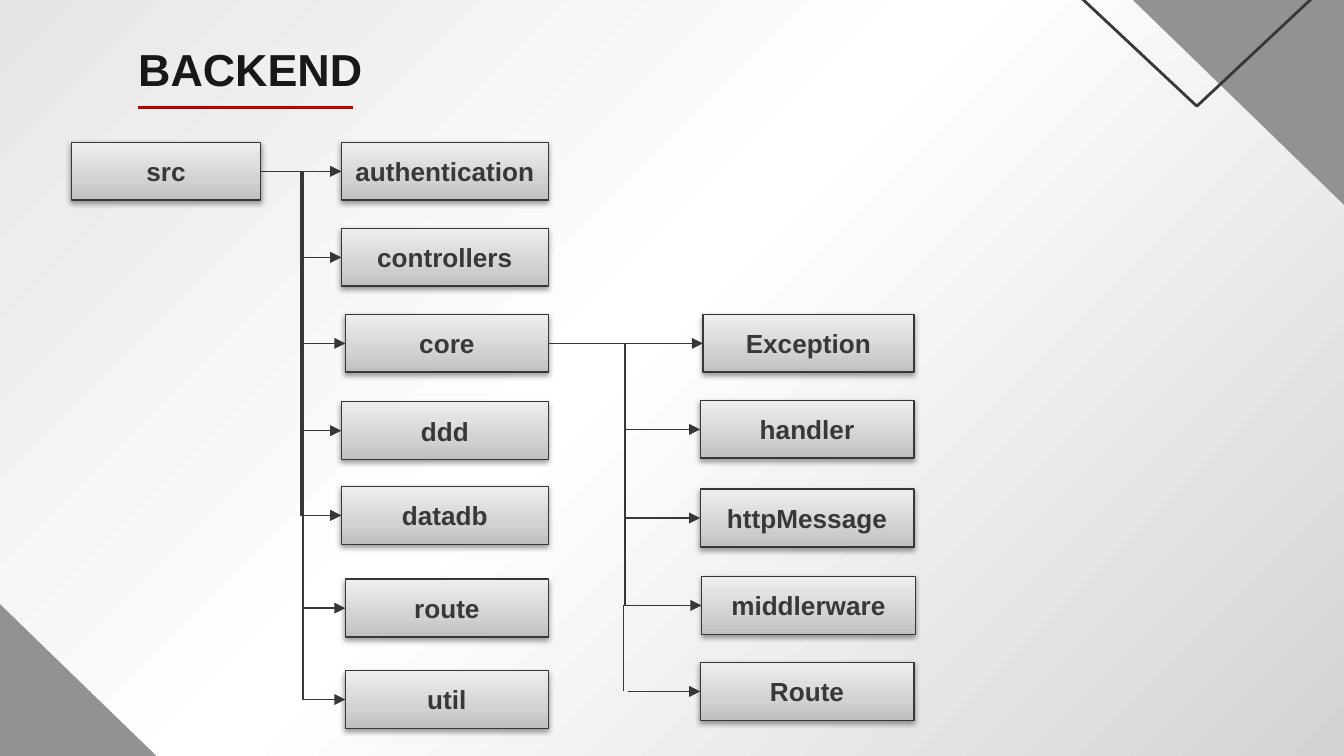
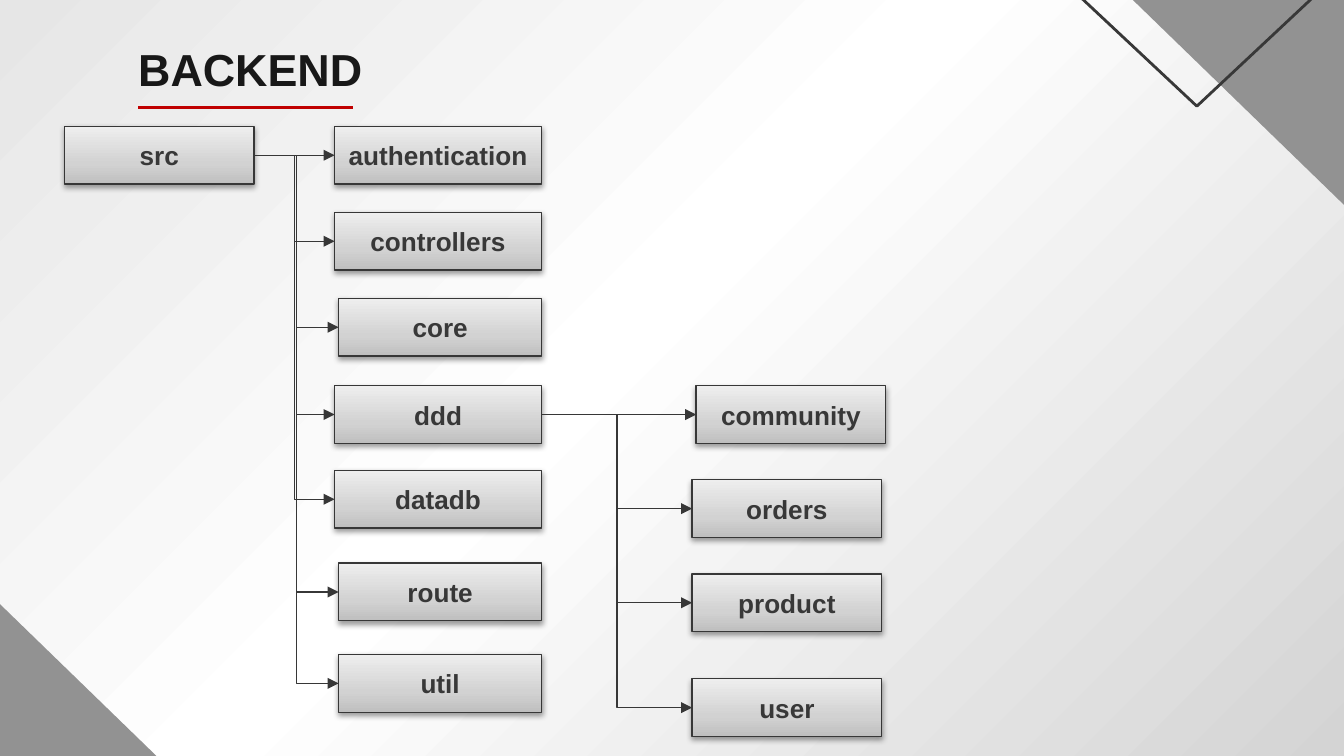
from dataclasses import dataclass

from lxml.etree import SubElement as Sub
from pptx import Presentation
from pptx.dml.color import RGBColor as Rgb
from pptx.enum.shapes import MSO_CONNECTOR as Link, MSO_SHAPE as Form
from pptx.enum.text import MSO_ANCHOR as Anchor, PP_ALIGN as Align
from pptx.oxml.ns import qn
from pptx.util import Inches, Pt

LEFT, RIGHT = 1, 3  # connection sites of a rectangle
BLANK = 6


@dataclass(frozen=True)
class Theme:
    font: str = "Arial"
    head: str = "181818"
    text: str = "383838"
    edge: str = "373737"
    rule: str = "C00000"
    wedge: str = "929292"
    shade: str = "000000"
    back: tuple = ((0, "E6E6E6"), (46, "FFFFFF"), (100, "D4D4D4"))
    face: tuple = ((0, "BFBFBF"), (35, "D2D2D2"), (100, "EEEEEE"))
    big: int = 24
    small: int = 14
    thin: float = 0.75
    thick: float = 1.5


def grid(*cells):
    """Turn grid columns and rows into lengths; the slide is 100 columns wide."""
    return [Inches(cell / 10) for cell in cells]


def blend(fill, stops, angle):
    """Fill with a gradient; the angle runs counter-clockwise."""
    fill.gradient()
    fill.gradient_angle = angle
    marks = fill._xPr.find(qn("a:gradFill")).find(qn("a:gsLst"))
    marks.clear()
    for share, tone in stops:
        mark = Sub(marks, qn("a:gs"), pos=str(share * 1000))
        Sub(mark, qn("a:srgbClr"), val=tone)


class Deck:
    def __init__(self, theme):
        self.theme = theme
        self.file = Presentation()
        self.file.slide_width, self.file.slide_height = grid(100, 56.25)

    def page(self, title):
        self.slide = self.file.slides.add_slide(self.file.slide_layouts[BLANK])
        self.shapes = self.slide.shapes
        blend(self.slide.background.fill, self.theme.back, 315)
        self.wedge(-18.4, 27.1)
        self.wedge(71, -12.9, 180)
        self.peak()
        self.title(title)

    def form(self, kind, *place):
        shape = self.shapes.add_shape(kind, *grid(*place))
        shape.shadow.inherit = False
        return shape

    def ink(self, line, tone, width):
        line.color.rgb = Rgb.from_string(tone)
        line.width = Pt(width)

    def type(self, frame, text, size, tone):
        frame.text = text
        font = frame.paragraphs[0].runs[0].font
        font.name, font.size, font.bold = self.theme.font, Pt(size), True
        font.color.rgb = Rgb.from_string(tone)

    def wedge(self, x, y, turn=0):
        shape = self.form(Form.RIGHT_TRIANGLE, x, y, 37.2, 36.1)
        shape.rotation = turn
        shape.fill.solid()
        shape.fill.fore_color.rgb = Rgb.from_string(self.theme.wedge)
        shape.line.fill.background()

    def peak(self):
        shape = self.form(Form.ISOSCELES_TRIANGLE, 59.7, -19.6, 58.7, 27.5)
        shape.rotation = 180
        shape.fill.background()
        self.ink(shape.line, self.theme.text, self.theme.thick)

    def title(self, text):
        frame = self.shapes.add_textbox(*grid(9.3, 2.1, 48.6, 14.5)).text_frame
        frame.word_wrap = True
        frame.margin_left = frame.margin_right = Inches(0.1)
        frame.margin_top = frame.margin_bottom = Inches(0.1)
        self.type(frame, text, self.theme.big, self.theme.head)
        self.line((10.3, 8, 26.3, 8), self.theme.rule, self.theme.thick, False)

    def box(self, text, x, y, width, height=4.3):
        shape = self.form(Form.RECTANGLE, x, y, width, height)
        blend(shape.fill, self.theme.face, 90)
        self.ink(shape.line, self.theme.edge, self.theme.thin)
        glow = Sub(shape._element.spPr.find(qn("a:effectLst")), qn("a:outerShdw"),
                   blurRad=str(Pt(3.1)), dist=str(Pt(1.6)), dir="5400000", rotWithShape="0")
        tone = Sub(glow, qn("a:srgbClr"), val=self.theme.shade)
        Sub(tone, qn("a:alpha"), val="38000")
        frame = shape.text_frame
        frame.word_wrap = False
        frame.vertical_anchor = Anchor.MIDDLE
        self.type(frame, text, self.theme.small, self.theme.text)
        frame.paragraphs[0].alignment = Align.CENTER
        return shape

    def line(self, ends=(0, 0, 0, 0), tone=None, width=None, arrow=True, kind=Link.STRAIGHT):
        link = self.shapes.add_connector(kind, *grid(*ends))
        self.ink(link.line, tone or self.theme.edge, width or self.theme.thin)
        props = link._element.spPr
        if arrow:
            Sub(props.find(qn("a:ln")), qn("a:tailEnd"), type="triangle")
        Sub(props, qn("a:effectLst"))
        return link

    def join(self, source, target, kind):
        link = self.line(kind=kind)
        link.begin_connect(source, RIGHT)
        link.end_connect(target, LEFT)

    def branch(self, source, items, x, y, trunk):
        """Draw the boxes of one level, each tied to its source or to the trunk."""
        made = {}
        for name, left, row, width, tie in items:
            made[name] = box = self.box(name, x + left, y + row, width)
            mid = y + row + 2.15
            if tie in (Link.STRAIGHT, Link.ELBOW):
                self.join(source, box, tie)
            else:
                self.line((x + trunk + tie, mid, x + left, mid))
        return made


# Each item: name, left, row, width, and a connector kind or a start beside the trunk
FOLDERS = (
    ("authentication", 20.1, 0, 15.4, Link.STRAIGHT),
    ("controllers", 20.1, 6.4, 15.4, Link.ELBOW),
    ("core", 20.4, 12.8, 15.1, 0),
    ("ddd", 20.1, 19.3, 15.4, 0),
    ("datadb", 20.1, 25.6, 15.4, Link.ELBOW),
    ("route", 20.4, 32.5, 15.1, 0),
    ("util", 20.4, 39.3, 15.1, Link.ELBOW),
)
CORE = (
    ("Exception", 47, 12.8, 15.7, Link.STRAIGHT),
    ("handler", 46.8, 19.2, 15.9, Link.ELBOW),
    ("httpMessage", 46.8, 25.8, 15.9, Link.ELBOW),
    ("middlerware", 46.9, 32.3, 15.9, Link.ELBOW),
    ("Route", 46.8, 38.7, 15.9, 0.3),
)
DDD = (
    ("community", 47, 19.3, 14.1, Link.STRAIGHT),
    ("orders", 46.7, 26.3, 14.1, Link.ELBOW),
    ("product", 46.7, 33.3, 14.1, Link.ELBOW),
    ("user", 46.7, 41.1, 14.1, Link.ELBOW),
)
TRUNK, STEM = 17.3, 41.1


def tree(deck, x, y, opened, items):
    deck.page("BACKEND")
    root = deck.box("src", x, y, 14.1)
    folders = deck.branch(root, FOLDERS, x, y, TRUNK)
    deck.branch(folders[opened], items, x, y, STEM)


def main():
    deck = Deck(Theme())
    tree(deck, 5.3, 10.6, "core", CORE)
    deck.line((46.4, 45, 46.4, 51.4), arrow=False)
    tree(deck, 4.8, 9.4, "ddd", DDD)
    deck.file.save("out.pptx")


if __name__ == "__main__":
    main()
